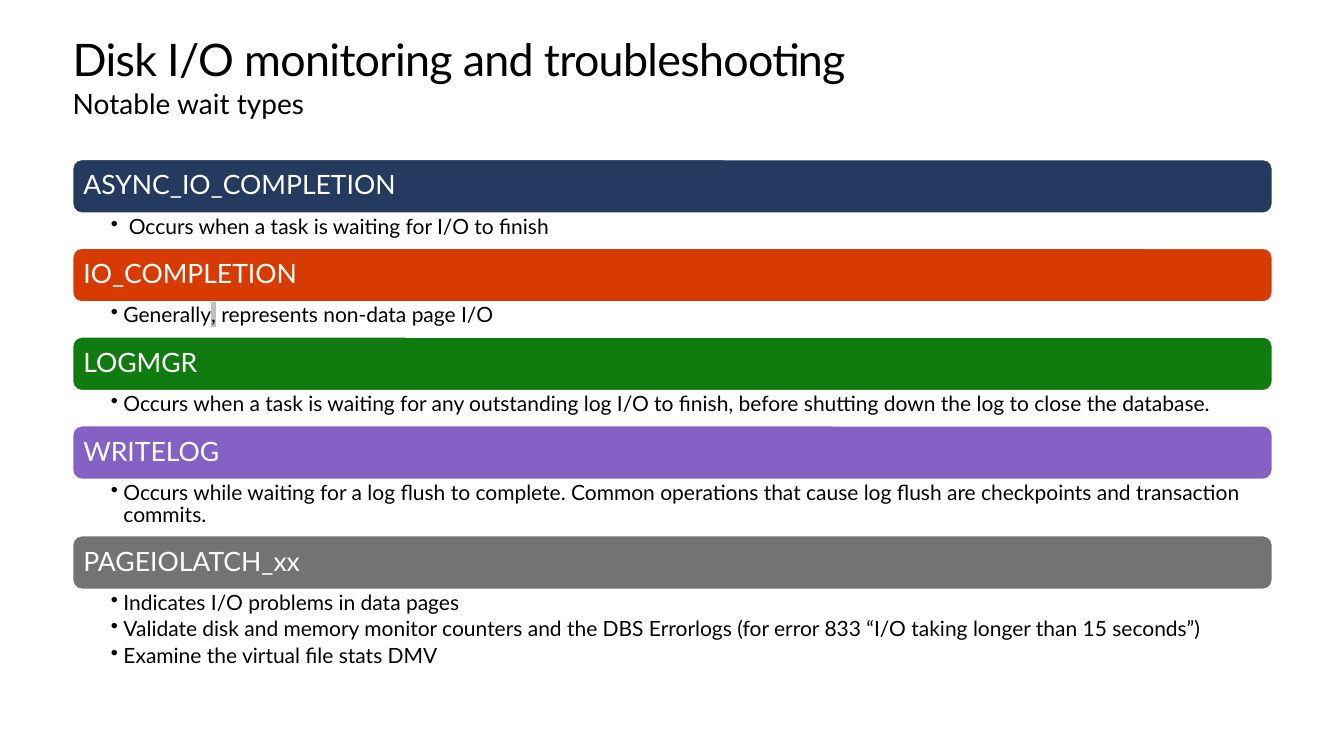
from lxml import etree
from pptx import Presentation
from pptx.dml.color import RGBColor
from pptx.enum import shapes, text
from pptx.oxml.ns import qn
from pptx.util import Pt

FONT = "Lato"
BAR_HEIGHT = 38.2
WAIT_TYPES = [
    ("ASYNC_IO_COMPLETION", "243A5E", 25.2,
     [[" Occurs when a task is waiting for I/O to finish"]]),
    ("IO_COMPLETION", "D83B01", 25.2,
     [["Generally", ",", " represents non-data page I/O"]]),
    ("LOGMGR", "107C10", 25.2,
     [["Occurs when a task is waiting for any outstanding log I/O to finish, "
       "before shutting down the log to close the database."]]),
    ("WRITELOG", "8661C5", 40.3,
     [["Occurs while waiting for a log flush to complete. Common operations "
       "that cause log flush are checkpoints and transaction commits."]]),
    ("PAGEIOLATCH_xx", "737373", 66.2,
     [["Indicates I/O problems in data pages"],
      ["Validate disk and memory monitor counters and the DBS Errorlogs "
       "(for error 833 “I/O taking longer than 15 seconds”)"],
      ["Examine the virtual file stats DMV"]]),
]


def color(hex_string):
    """Return the colour for a hex string."""
    return RGBColor.from_string(hex_string)


def set_font(paragraph, size, hex_string):
    """Set the font of a whole paragraph."""
    paragraph.font.name = FONT
    paragraph.font.size = Pt(size)
    paragraph.font.color.rgb = color(hex_string)


def set_frame(shape, left, top, right, bottom):
    """Wrap the text of a shape, set its insets and return its frame."""
    frame = shape.text_frame
    frame.word_wrap = True
    frame.margin_left, frame.margin_top = Pt(left), Pt(top)
    frame.margin_right, frame.margin_bottom = Pt(right), Pt(bottom)
    return frame


def add_text_box(slide, left, top, width, height, insets=(0, 0, 0, 0)):
    """Add a wrapping text box and return its frame."""
    box = slide.shapes.add_textbox(Pt(left), Pt(top), Pt(width), Pt(height))
    return set_frame(box, *insets)


def add_heading(slide, left, top, width):
    """Add the title and the subtitle below it."""
    title = add_text_box(slide, left, top, width, 36).paragraphs[0]
    run = title.add_run()
    run.text = "Disk I/O monitoring and troubleshooting"
    run.font._element.set("spc", "-50")
    title.line_spacing = Pt(36.2)
    set_font(title, 32, "000000")

    subtitle = add_text_box(slide, left, top + 36.7, width, 36).paragraphs[0]
    subtitle.text = "Notable wait types"
    subtitle.space_before = Pt(6.7)
    set_font(subtitle, 20, "000000")


def add_bar(slide, left, top, width, name, fill):
    """Add the coloured bar that names a wait type."""
    bar = slide.shapes.add_shape(shapes.MSO_SHAPE.ROUNDED_RECTANGLE,
                                 Pt(left), Pt(top), Pt(width), Pt(BAR_HEIGHT))
    bar.shadow.inherit = False
    bar.fill.solid()
    bar.fill.fore_color.rgb = color(fill)
    bar.line.color.rgb = color("FFFFFF")
    bar.line.width = Pt(1)
    frame = set_frame(bar, 5.76, 5.76, 5.76, 5.76)
    frame.vertical_anchor = text.MSO_ANCHOR.MIDDLE
    paragraph = frame.paragraphs[0]
    paragraph.text = name
    paragraph.alignment = text.PP_ALIGN.LEFT
    paragraph.line_spacing = 0.9
    set_font(paragraph, 19, "FFFFFF")


def highlight(run, hex_string):
    """Put a highlight colour behind a run."""
    mark = etree.SubElement(run.font._element, qn("a:highlight"))
    etree.SubElement(mark, qn("a:srgbClr"), val=hex_string)


def add_bullets(slide, left, top, width, height, bullets):
    """Add the bulleted notes below a bar."""
    frame = add_text_box(slide, left, top, width, height, (27.2, 2, 10.8, 2))
    for index, pieces in enumerate(bullets):
        paragraph = frame.add_paragraph() if index else frame.paragraphs[0]
        for piece in pieces:
            run = paragraph.add_run()
            run.text = piece
            if piece == ",":
                highlight(run, "C0C0C0")
        paragraph.level = 1
        paragraph.line_spacing = 0.9
        paragraph.space_after = Pt(2.7)
        properties = paragraph._p.get_or_add_pPr()
        properties.set("marL", str(Pt(9)))
        properties.set("indent", str(-Pt(9)))
        etree.SubElement(properties, qn("a:buChar"), char="•")
        set_font(paragraph, 15, "000000")


def add_wait_types(slide, left, top, width):
    """Stack the bars and their notes from the top down."""
    for name, fill, notes_height, bullets in WAIT_TYPES:
        add_bar(slide, left, top, width, name, fill)
        top += BAR_HEIGHT
        add_bullets(slide, left, top, width, notes_height, bullets)
        top += notes_height


def main():
    """Build the slide and save it."""
    presentation = Presentation()
    presentation.slide_width, presentation.slide_height = Pt(960), Pt(540)
    slide = presentation.slides.add_slide(presentation.slide_layouts[6])
    add_heading(slide, 52, 25.2, 856.8)
    add_wait_types(slide, 52, 114, 856.8)
    presentation.save("out.pptx")


if __name__ == "__main__":
    main()
